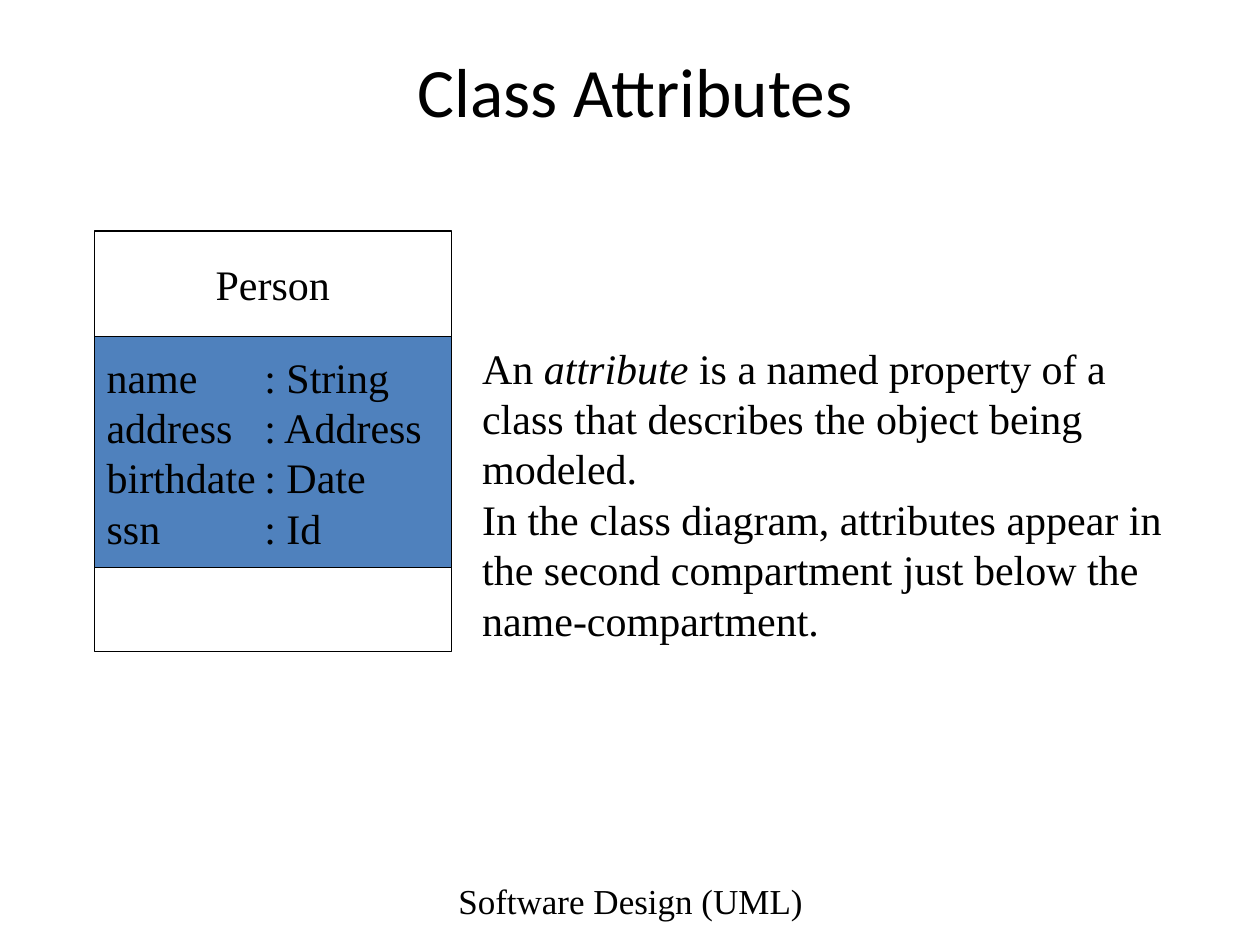
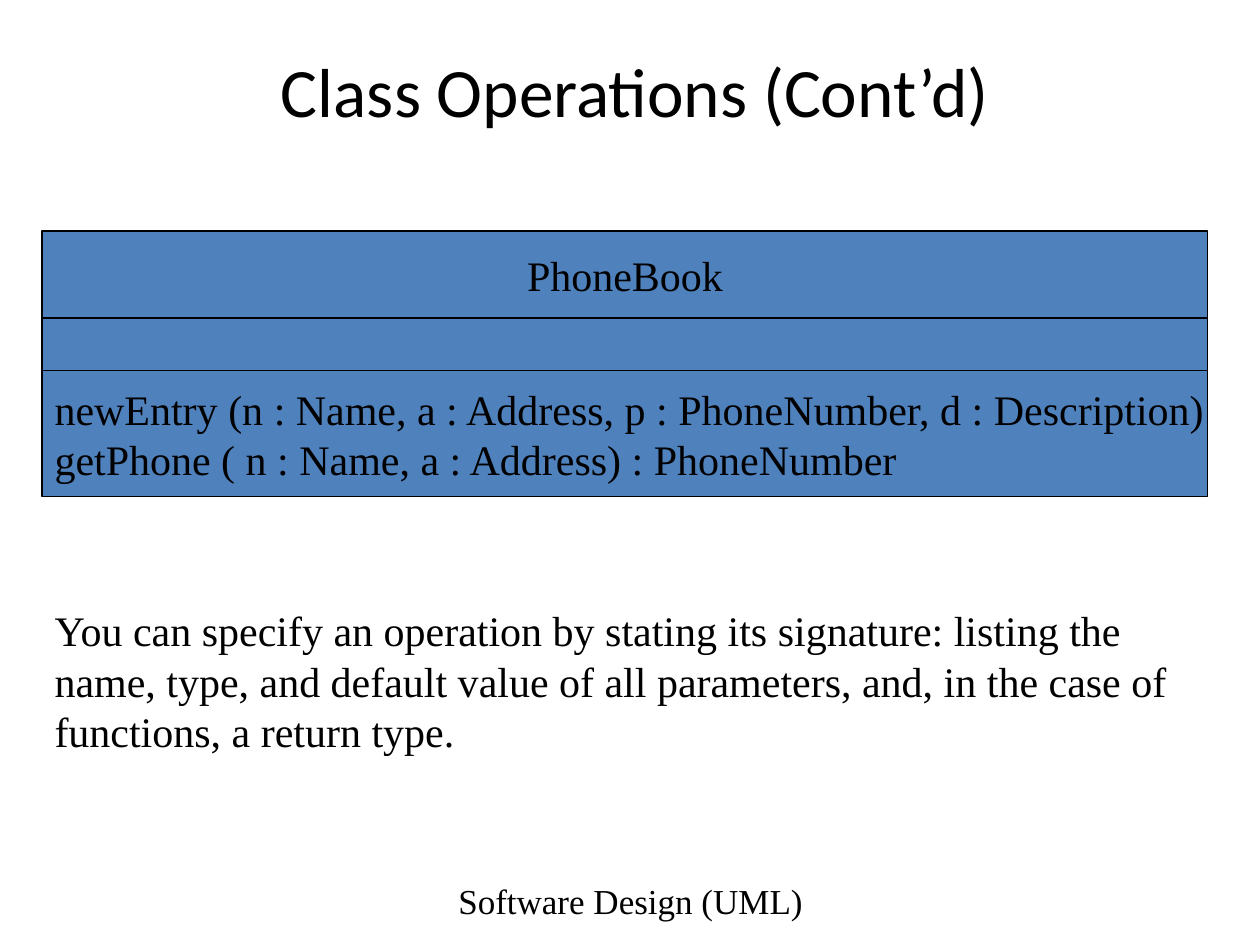
"""Build two slides on UML class attributes and operations."""
from dataclasses import dataclass

from lxml.etree import SubElement
from pptx import Presentation
from pptx.dml.color import RGBColor
from pptx.enum.shapes import MSO_SHAPE
from pptx.enum.text import MSO_ANCHOR, PP_ALIGN
from pptx.oxml.ns import qn
from pptx.util import Cm, Pt


@dataclass(frozen=True)
class Theme:
    ink: RGBColor = RGBColor(0, 0, 0)
    plain: RGBColor = RGBColor(255, 255, 255)
    accent: RGBColor = RGBColor(0x4F, 0x81, 0xBD)
    head: str = "Calibri"
    body: str = "Times New Roman"
    title: float = 39.6
    text: float = 24
    foot: float = 20
    rule: float = 0.75


THEME = Theme()


def add_tab(para, stop):
    props = para._p.get_or_add_pPr()
    tabs = SubElement(props, qn("a:tabLst"))
    SubElement(tabs, qn("a:tab"), pos=str(Cm(stop)), algn="l")


def write(shape, lines, size=THEME.text, font=THEME.body,
          align=PP_ALIGN.LEFT, anchor=MSO_ANCHOR.MIDDLE, tab=None, right=0.25):
    """Fill a shape with paragraphs, setting words between asterisks in italics."""
    frame = shape.text_frame
    frame.word_wrap = True
    frame.vertical_anchor = anchor
    frame.margin_right = Cm(right)
    for i, line in enumerate(lines):
        para = frame.add_paragraph() if i else frame.paragraphs[0]
        para.alignment = align
        if tab:
            add_tab(para, tab)
        for j, part in enumerate(line.split("*")):
            run = para.add_run()
            run.text = part
            run.font.name = font
            run.font.size = Pt(size)
            run.font.color.rgb = THEME.ink
            run.font.italic = j % 2 == 1


def add_text(slide, box, lines, **style):
    shape = slide.shapes.add_textbox(*map(Cm, box))
    write(shape, lines, **style)


def add_class(slide, left, top, width, parts):
    """Stack the compartments, each a height, a fill, its lines and a style."""
    for high, fill, lines, style in parts:
        box = slide.shapes.add_shape(
            MSO_SHAPE.RECTANGLE, Cm(left), Cm(top), Cm(width), Cm(high))
        box.shadow.inherit = False
        box.fill.solid()
        box.fill.fore_color.rgb = fill
        box.line.color.rgb = THEME.ink
        box.line.width = Pt(THEME.rule)
        write(box, lines, **style)
        top += high


def add_slide(deck, title):
    slide = deck.slides.add_slide(deck.slide_layouts[6])
    add_text(slide, (8.69, 17.65, 8.05, 1.02), ["Software Design (UML)"],
             size=THEME.foot, align=PP_ALIGN.CENTER)
    add_text(slide, (1.9, 1.07, 21.8, 1.47), [title],
             size=THEME.title, font=THEME.head, align=PP_ALIGN.CENTER)
    return slide


def main():
    deck = Presentation()
    deck.slide_width, deck.slide_height = Cm(25.4), Cm(19.05)
    name = {"align": PP_ALIGN.CENTER}

    slide = add_slide(deck, "Class Attributes")
    fields = ["name\t: String", "address\t: Address",
              "birthdate\t: Date", "ssn\t: Id"]
    add_class(slide, 1.9, 4.66, 7.2, [
        (2.12, THEME.plain, ["Person"], name),
        (4.66, THEME.accent, fields, {"tab": 3.18, "right": 0}),
        (1.7, THEME.plain, [], {}),
    ])
    add_text(slide, (9.47, 6.77, 15.93, 5.33), [
        "An *attribute* is a named property of a class that describes "
        "the object being modeled.",
        "In the class diagram, attributes appear in the second compartment "
        "just below the name-compartment.",
    ], anchor=MSO_ANCHOR.TOP, right=1.7)

    slide = add_slide(deck, "Class Operations (Cont’d)")
    calls = ["newEntry (n : Name, a : Address, p : PhoneNumber, d : Description)",
             "getPhone ( n : Name, a : Address) : PhoneNumber"]
    add_class(slide, 0.85, 4.66, 23.5, [
        (1.75, THEME.accent, ["PhoneBook"], name),
        (1.06, THEME.accent, [], {}),
        (2.54, THEME.accent, calls, {"right": 0}),
    ])
    add_text(slide, (0.85, 12.07, 23.3, 3.3), [
        "You can specify an operation by stating its signature: listing the "
        "name, type, and default value of all parameters, and, in the case of "
        "functions, a return type.",
    ], anchor=MSO_ANCHOR.TOP)

    deck.save("out.pptx")


if __name__ == "__main__":
    main()
